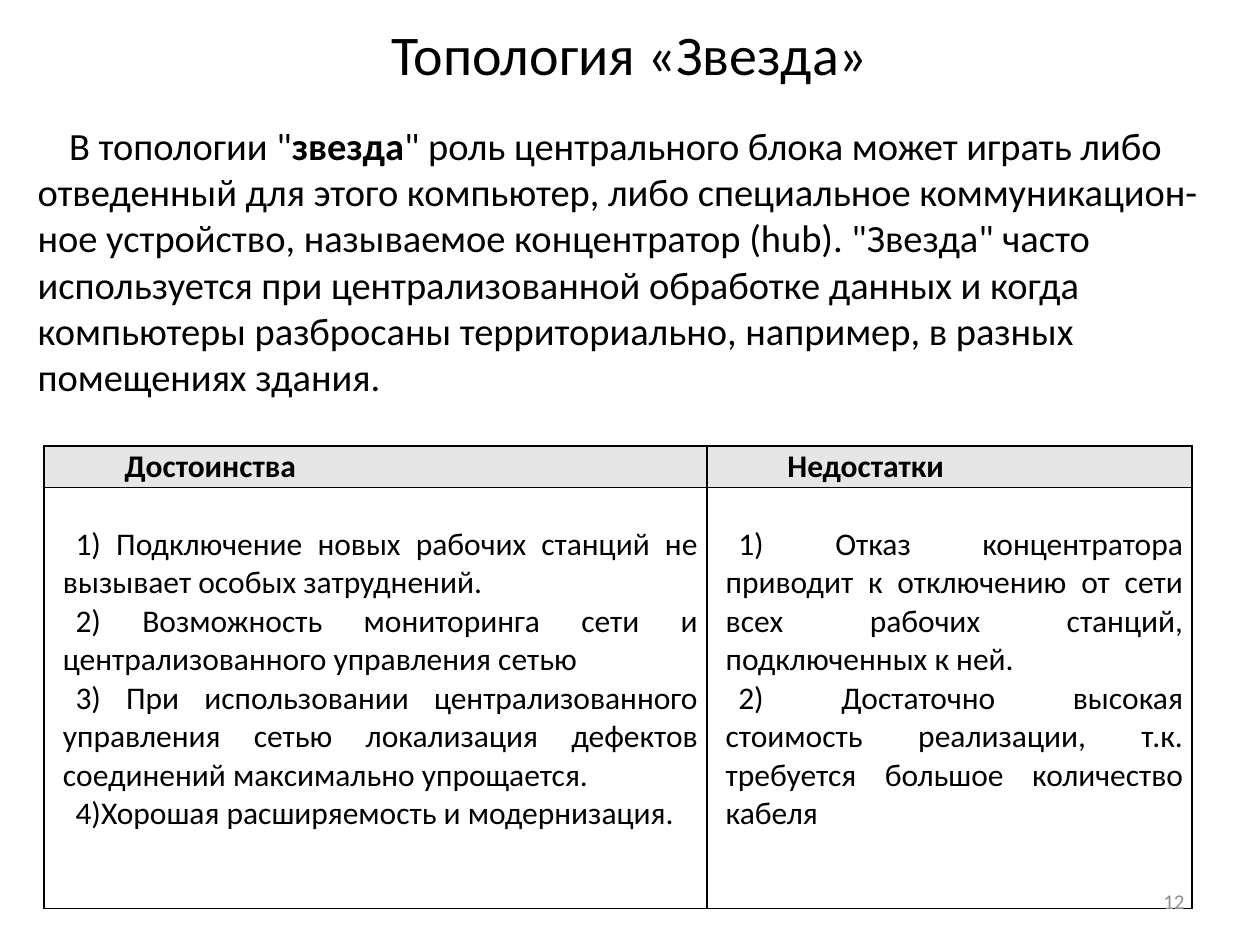
"""Builds the slide on the star network topology with its pros and cons table."""
from lxml.etree import SubElement
from pptx import Presentation
from pptx.dml.color import RGBColor
from pptx.enum.text import MSO_ANCHOR as Anchor, PP_ALIGN as Align
from pptx.oxml.ns import qn
from pptx.util import Inches, Pt

FONT = "Calibri"
COLORS = {"text": "000000", "header": "E6E6E6", "border": "000000", "number": "8C8C8C"}
TITLE = "Топология «Звезда»"
INTRO = [
    ("В топологии \"", False),
    ("звезда", True),
    ("\" роль центрального блока может играть либо отведенный для этого компьютер, "
     "либо специальное коммуникацион-ное устройство, называемое концентратор (hub). "
     "\"Звезда\" часто используется при централизованной обработке данных и когда "
     "компьютеры разбросаны территориально, например, в разных помещениях здания.", False),
]
COLUMNS = [
    ("Достоинства", 5.26, [
        "1) Подключение новых рабочих станций не вызывает особых затруднений.",
        "2) Возможность мониторинга сети и централизованного управления сетью",
        "3) При использовании централизованного управления сетью локализация "
        "дефектов соединений максимально упрощается.",
        "4)Хорошая расширяемость и модернизация.",
    ]),
    ("Недостатки", 3.85, [
        "1) Отказ концентратора приводит к отключению от сети всех рабочих станций, "
        "подключенных к ней.",
        "2) Достаточно высокая стоимость реализации, т.к. требуется большое "
        "количество кабеля",
    ]),
]
ROW_HEIGHTS = [0.33, 3.34]
PAGE_NUMBER = "12"


def add_span(para, text, size, bold=False, color="text"):
    span = para.add_run()
    span.text = text
    span.font.name, span.font.size, span.font.bold = FONT, Pt(size), bold
    span.font.color.rgb = RGBColor.from_string(COLORS[color])


def set_indent(para, left, first):
    properties = para._p.get_or_add_pPr()
    properties.set("marL", str(Inches(left)))
    properties.set("indent", str(Inches(first)))


def add_box(page, left, top, width, height):
    frame = page.shapes.add_textbox(*map(Inches, (left, top, width, height))).text_frame
    frame.word_wrap = True
    return frame


def add_borders(cell):
    properties = cell._tc.get_or_add_tcPr()
    for side in ("a:lnL", "a:lnR", "a:lnT", "a:lnB"):
        line = SubElement(properties, qn(side), w=str(Pt(1)))
        fill = SubElement(line, qn("a:solidFill"))
        SubElement(fill, qn("a:srgbClr"), val=COLORS["border"])


def fill_cell(cell, texts, first_indent, bold=False):
    cell.margin_left = cell.margin_right = Inches(0.07)
    cell.margin_top = cell.margin_bottom = 0
    for index, text in enumerate(texts):
        frame = cell.text_frame
        para = frame.add_paragraph() if index else frame.paragraphs[0]
        para.alignment = Align.JUSTIFY
        set_indent(para, 0.08, first_indent)
        add_span(para, text, 18, bold)
    add_borders(cell)


def add_comparison(page):
    widths = [width for _, width, _ in COLUMNS]
    table = page.shapes.add_table(
        len(ROW_HEIGHTS), len(COLUMNS), Inches(0.35), Inches(3.54),
        Inches(sum(widths)), Inches(sum(ROW_HEIGHTS))).table
    table.first_row = table.horz_banding = False
    for row, height in zip(table.rows, ROW_HEIGHTS):
        row.height = Inches(height)
    for index, (heading, width, items) in enumerate(COLUMNS):
        table.columns[index].width = Inches(width)
        header, body = table.cell(0, index), table.cell(1, index)
        fill_cell(header, [heading], 0.49, bold=True)
        header.vertical_anchor = Anchor.MIDDLE
        header.fill.solid()
        header.fill.fore_color.rgb = RGBColor.from_string(COLORS["header"])
        fill_cell(body, items, 0.1)
        body.margin_top = Inches(0.3)
        body.fill.background()


def main():
    deck = Presentation()
    deck.slide_width, deck.slide_height = Inches(10), Inches(7.5)
    page = deck.slides.add_slide(deck.slide_layouts[5])

    title = page.shapes.title
    title.left, title.top, title.width, title.height = map(Inches, (0.5, 0.08, 9, 0.69))
    title.text_frame.vertical_anchor = Anchor.MIDDLE
    heading = title.text_frame.paragraphs[0]
    heading.alignment = Align.CENTER
    add_span(heading, TITLE, 32)

    add_comparison(page)

    intro = add_box(page, 0.2, 0.92, 9.61, 2.32).paragraphs[0]
    set_indent(intro, 0, 0.25)
    for text, bold in INTRO:
        add_span(intro, text, 22, bold)

    footer = add_box(page, 7.17, 6.95, 2.33, 0.4)
    footer.vertical_anchor = Anchor.MIDDLE
    footer.paragraphs[0].alignment = Align.RIGHT
    add_span(footer.paragraphs[0], PAGE_NUMBER, 12, color="number")

    deck.save("out.pptx")


if __name__ == "__main__":
    main()
